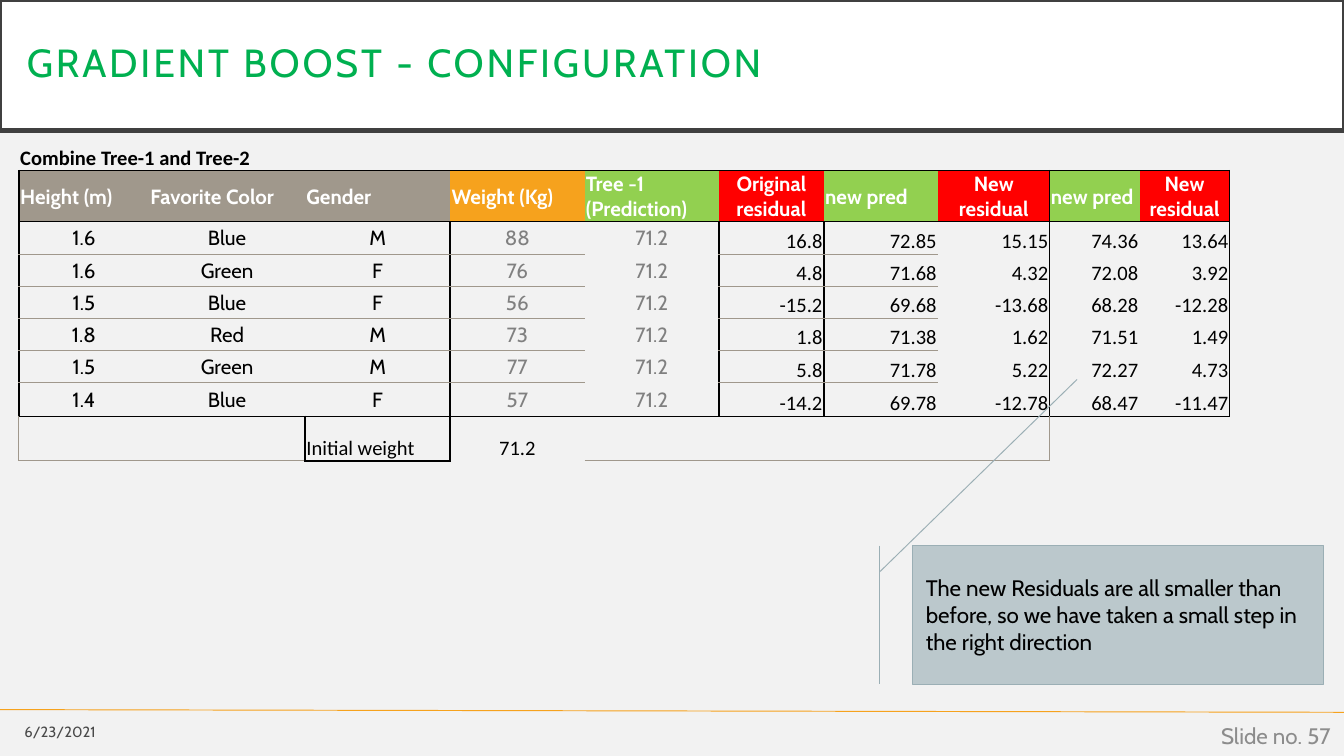
from lxml import etree
from pptx import Presentation
from pptx.dml.color import RGBColor
from pptx.enum import shapes, text
from pptx.oxml.ns import qn
from pptx.util import Inches, Pt

LEFT, MID, RIGHT = text.PP_ALIGN.LEFT, text.PP_ALIGN.CENTER, text.PP_ALIGN.RIGHT
BLACK, WHITE, TAUPE, GREEN, RED = "000000", "FFFFFF", "A0988C", "92D050", "FF0000"


def rgb(code):
    return RGBColor.from_string(code)


def write(frame, words, size, color, face="Cabin", align=LEFT, bold=False):
    frame.word_wrap = True
    frame.vertical_anchor = text.MSO_ANCHOR.MIDDLE
    para = frame.paragraphs[0]
    para.alignment = align
    font = para.font
    font.size, font.name, font.bold = Pt(size), face, bold
    font.color.rgb = rgb(color)
    if words:
        para.add_run().text = words
    return para


# Widescreen page, 16 to 9
prs = Presentation()
prs.slide_width = Inches(10)
prs.slide_height = Inches(10) * 9 // 16
slide = prs.slides.add_slide(prs.slide_layouts[6])
slide.background.fill.solid()
slide.background.fill.fore_color.rgb = rgb("F2F2F2")

# Footer rule
rule = slide.shapes.add_connector(
    shapes.MSO_CONNECTOR.STRAIGHT, Inches(0), Inches(5.28), Inches(10), Inches(5.3))
rule.line.color.rgb = rgb("F6A21D")
rule.line.width = Pt(0.5)
etree.SubElement(rule._element.spPr, qn("a:effectLst"))

# Title band
band = slide.shapes.add_shape(
    shapes.MSO_SHAPE.RECTANGLE, Inches(0), Inches(0), Inches(10), Inches(0.97))
band.shadow.inherit = False
band.fill.solid()
band.fill.fore_color.rgb = rgb(WHITE)
band.line.color.rgb = rgb("404040")
band.line.width = Pt(2.5)
frame = band.text_frame
frame.margin_left = frame.margin_right = Inches(0.2)
frame.margin_top = frame.margin_bottom = Inches(0.2)
para = write(frame, "GRADIENT BOOST - CONFIGURATION", 21, "00B050")
para.line_spacing = 0.9
para.runs[0].font._element.set("spc", "150")

# Date and slide number
for words, x, y, w, h, size, color in (
        ("6/23/2021", 0, 5.31, 0.81, 0.27, 7.9, "494949"),
        ("Slide no. 57", 7.75, 5.32, 2.25, 0.3, 12, "8C8C8C")):
    box = slide.shapes.add_textbox(Inches(x), Inches(y), Inches(w), Inches(h))
    write(box.text_frame, words, size, color, align=RIGHT)

# Table contents
heads = [("Height (m)", TAUPE), ("Favorite Color", TAUPE), ("Gender", TAUPE),
         ("Weight (Kg)", "F6A21D"), ("Tree -1 (Prediction)", GREEN),
         ("Original residual", RED), ("new pred", GREEN), ("New residual", RED),
         ("new pred", GREEN), ("New residual", RED)]
data = [
    "1.6 Blue M 88 71.2 16.8 72.85 15.15 74.36 13.64",
    "1.6 Green F 76 71.2 4.8 71.68 4.32 72.08 3.92",
    "1.5 Blue F 56 71.2 -15.2 69.68 -13.68 68.28 -12.28",
    "1.8 Red M 73 71.2 1.8 71.38 1.62 71.51 1.49",
    "1.5 Green M 77 71.2 5.8 71.78 5.22 72.27 4.73",
    "1.4 Blue F 57 71.2 -14.2 69.78 -12.78 68.47 -11.47",
]
rows = [["Combine Tree-1 and Tree-2"] + [""] * 9,
        [name for name, fill in heads],
        *[line.split() for line in data],
        ["", "", "Initial weight", "71.2"] + [""] * 6]
wide = [0.97, 1.16, 1.08, 1, 1, 0.78, 0.85, 0.83, 0.67, 0.67]
high = [0.22, 0.38] + [0.24] * 5 + [0.25, 0.33]
last = len(rows) - 1

# Grid lines: (row line, column) for flat ones, (row, column line) for upright ones
flat = {(r, c): BLACK for r in (1, 2, last) for c in range(10)}
flat |= {(r, c): TAUPE for r in range(3, last) for c in (0, 1, 2, 3, 5, 6)}
flat |= {(last + 1, c): TAUPE for c in (0, 1, 4, 5, 6, 7)}
flat[last + 1, 2] = BLACK
tall = {(1, c): BLACK for c in (0, 8, 10)}
tall |= {(r, c): BLACK for r in range(2, last) for c in (0, 3, 5, 6, 8, 10)}
tall |= {(last, 0): TAUPE, (last, 2): BLACK, (last, 3): BLACK, (last, 8): TAUPE}

# Table
table = slide.shapes.add_table(
    len(rows), 10, Inches(0.14), Inches(1.05), Inches(sum(wide)), Inches(sum(high))).table
for col, w in zip(table.columns, wide):
    col.width = Inches(w)
for row, h in zip(table.rows, high):
    row.height = Inches(h)
for r, row in enumerate(rows):
    for c, words in enumerate(row):
        cell = table.cell(r, c)
        color, face, align = BLACK, "Calibri", LEFT
        low = r in (0, last) or (r > 1 and c > 4)
        if r == 1:
            color, face = WHITE, "Cabin"
            align = MID if heads[c][1] == RED else LEFT
        elif 1 < r < last:
            align = RIGHT if low else MID
            if not low:
                color, face = ("808080" if c > 2 else BLACK), "Cabin"
        elif r == last and c == 3:
            align = MID
        write(cell.text_frame, words, 11, color, face, align, r < 2)
        cell.vertical_anchor = text.MSO_ANCHOR.BOTTOM if low else text.MSO_ANCHOR.MIDDLE
        cell.margin_left = cell.margin_right = cell.margin_top = Inches(0.01)
        cell.margin_bottom = 0

        # Borders come before the fill
        props = cell._tc.get_or_add_tcPr()
        for tag, ink in (("a:lnL", tall.get((r, c))), ("a:lnR", tall.get((r, c + 1))),
                         ("a:lnT", flat.get((r, c))), ("a:lnB", flat.get((r + 1, c)))):
            edge = etree.SubElement(props, qn(tag), w=str(Pt(1 if ink == BLACK else 0.5)))
            if ink:
                solid = etree.SubElement(edge, qn("a:solidFill"))
                etree.SubElement(solid, qn("a:srgbClr"), val=ink)
            else:
                etree.SubElement(edge, qn("a:noFill"))
        if r == 1:
            cell.fill.solid()
            cell.fill.fore_color.rgb = rgb(heads[c][1])
        else:
            cell.fill.background()
table.cell(0, 0).merge(table.cell(0, 1))

# Callout
note = slide.shapes.add_shape(
    shapes.MSO_SHAPE.LINE_CALLOUT_1_BORDER_AND_ACCENT_BAR,
    Inches(6.79), Inches(4.06), Inches(3.06), Inches(1.03))
note.shadow.inherit = False
for i, ratio in enumerate((0.19, -0.08, -1.2, 0.4)):
    note.adjustments[i] = ratio
note.fill.gradient()
note.fill.gradient_angle = 270
for stop, color in zip(note.fill.gradient_stops, ("BBC8CC", "B8C6CB")):
    stop.color.rgb = rgb(color)
note.line.color.rgb = rgb("9BAFB5")
note.line.width = Pt(0.5)
write(note.text_frame, "The new Residuals are all smaller than before, so we have taken "
      "a small step in the right direction", 12, BLACK)

prs.save("out.pptx")
